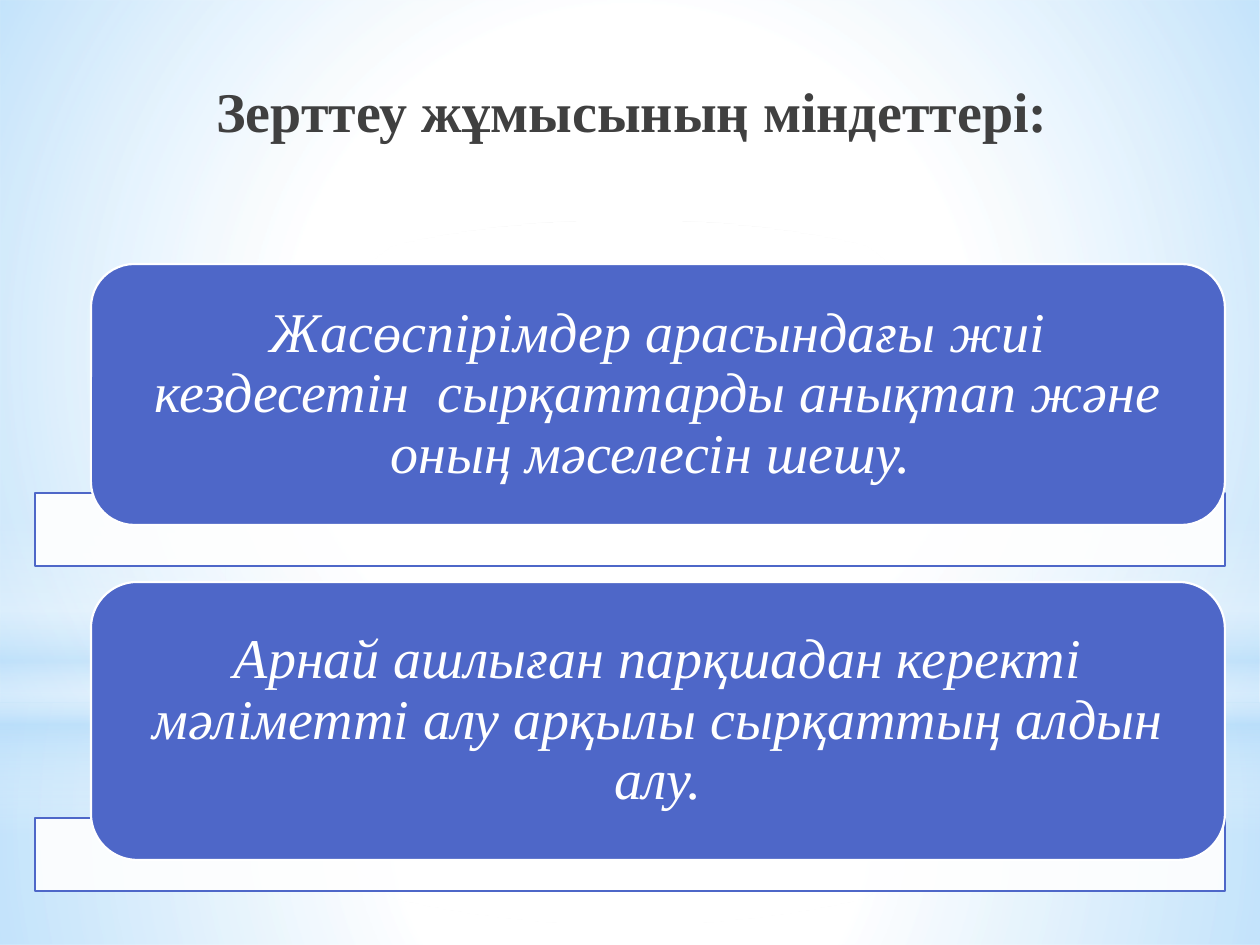
from lxml.etree import SubElement
from pptx import Presentation
from pptx.dml.color import RGBColor
from pptx.enum.shapes import MSO_SHAPE
from pptx.enum.text import MSO_ANCHOR, MSO_AUTO_SIZE, PP_ALIGN
from pptx.oxml.ns import qn
from pptx.util import Emu, Pt

SLIDE_W, SLIDE_H = 1260, 945
WHITE, SKY, INDIGO, CHARCOAL = "FFFFFF", "B4DCFA", "4E67C8", "404040"


def px(length):
    return Emu(round(length * 914400 / 126))


def color(hex_string):
    return RGBColor.from_string(hex_string)


def write(frame, text, size=32, ink=WHITE, bold=False, italic=False,
          anchor=MSO_ANCHOR.MIDDLE, inset=0, spacing=1.0):
    frame.word_wrap = True
    frame.auto_size = MSO_AUTO_SIZE.NONE
    frame.vertical_anchor = anchor
    frame.margin_left = frame.margin_right = px(inset)
    frame.margin_top = frame.margin_bottom = 0
    paragraph = frame.paragraphs[0]
    paragraph.alignment = PP_ALIGN.CENTER
    paragraph.line_spacing = spacing
    run = paragraph.add_run()
    run.text = text
    run.font.name = "Times New Roman"
    run.font.size = Pt(size)
    run.font.bold, run.font.italic = bold, italic
    run.font.color.rgb = color(ink)


def add_alpha(color_element, percent):
    SubElement(color_element, qn("a:alpha"), val=str(percent * 1000))


class TaskSlide:
    """Holds the presentation and its slide; every length is in px."""

    def __init__(self):
        self.deck = Presentation()
        self.deck.slide_width, self.deck.slide_height = px(SLIDE_W), px(SLIDE_H)
        self.slide = self.deck.slides.add_slide(self.deck.slide_layouts[5])

    def block(self, preset, box, fill, line=None, opacity=100):
        block = self.slide.shapes.add_shape(preset, *map(px, box))
        block.shadow.inherit = False
        block.fill.solid()
        block.fill.fore_color.rgb = color(fill)
        if opacity < 100:
            add_alpha(block.element.spPr.find(qn("a:solidFill"))[0], opacity)
        if line:
            block.line.color.rgb = color(line)
            block.line.width = Pt(1.25)
        else:
            block.line.fill.background()
        return block

    def glow(self, preset, box, stops, radial=True):
        """Add a gradient block; stops are (position, colour, opacity) in percent."""
        properties = self.block(preset, box, WHITE).element.spPr
        solid = properties.find(qn("a:solidFill"))
        gradient = properties.makeelement(qn("a:gradFill"), {"rotWithShape": "1"})
        stop_list = SubElement(gradient, qn("a:gsLst"))
        for position, tint, opacity in stops:
            stop = SubElement(stop_list, qn("a:gs"), pos=str(position * 1000))
            add_alpha(SubElement(stop, qn("a:srgbClr"), val=tint), opacity)
        if radial:
            center = SubElement(gradient, qn("a:path"), path="circle")
            SubElement(center, qn("a:fillToRect"),
                       {side: "50000" for side in "ltrb"})
        else:
            SubElement(gradient, qn("a:lin"), ang="5400000", scaled="0")
        properties.replace(solid, gradient)

    def title(self, text, box):
        title = self.slide.shapes.title
        title.left, title.top, title.width, title.height = map(px, box)
        write(title.text_frame, text, ink=CHARCOAL, bold=True,
              anchor=MSO_ANCHOR.BOTTOM, inset=12)
        self.slide.shapes.element.append(title.element)

    def task(self, text, top, height, bar_top):
        self.block(MSO_SHAPE.RECTANGLE, (35, bar_top, 1190, 73), WHITE,
                   line=INDIGO, opacity=90)
        card = self.block(MSO_SHAPE.ROUNDED_RECTANGLE, (91, top, 1134, height),
                          INDIGO, line=WHITE)
        write(card.text_frame, text, italic=True, inset=32, spacing=0.9)


def main():
    page = TaskSlide()
    horizon = 703
    page.glow(MSO_SHAPE.RECTANGLE, (0, horizon, SLIDE_W, SLIDE_H - horizon),
              [(0, WHITE, 91), (37, WHITE, 76), (100, SKY, 79)])
    page.glow(MSO_SHAPE.RECTANGLE, (0, 0, SLIDE_W, horizon),
              [(0, WHITE, 89), (48, WHITE, 62), (100, SKY, 79)])
    page.glow(MSO_SHAPE.RECTANGLE, (0, 519, SLIDE_W, 315),
              [(0, WHITE, 0), (29, WHITE, 30), (45, SKY, 40),
               (55, WHITE, 26), (65, SKY, 60), (100, WHITE, 0)], radial=False)
    page.glow(MSO_SHAPE.OVAL, (0, 221, SLIDE_W, horizon),
              [(0, WHITE, 100), (56, WHITE, 0)])
    page.title("Зерттеу жұмысының міндеттері:", (158, 55, 949, 89))
    page.task("Жасөспірімдер арасындағы жиі кездесетін  сырқаттарды анықтап "
              "және оның мәселесін шешу. ", top=264, height=261, bar_top=493)
    page.task("Арнай ашлыған парқшадан керекті мәліметті алу арқылы сырқаттың "
              "алдын алу.", top=582, height=278, bar_top=818)
    page.deck.save("out.pptx")


if __name__ == "__main__":
    main()
